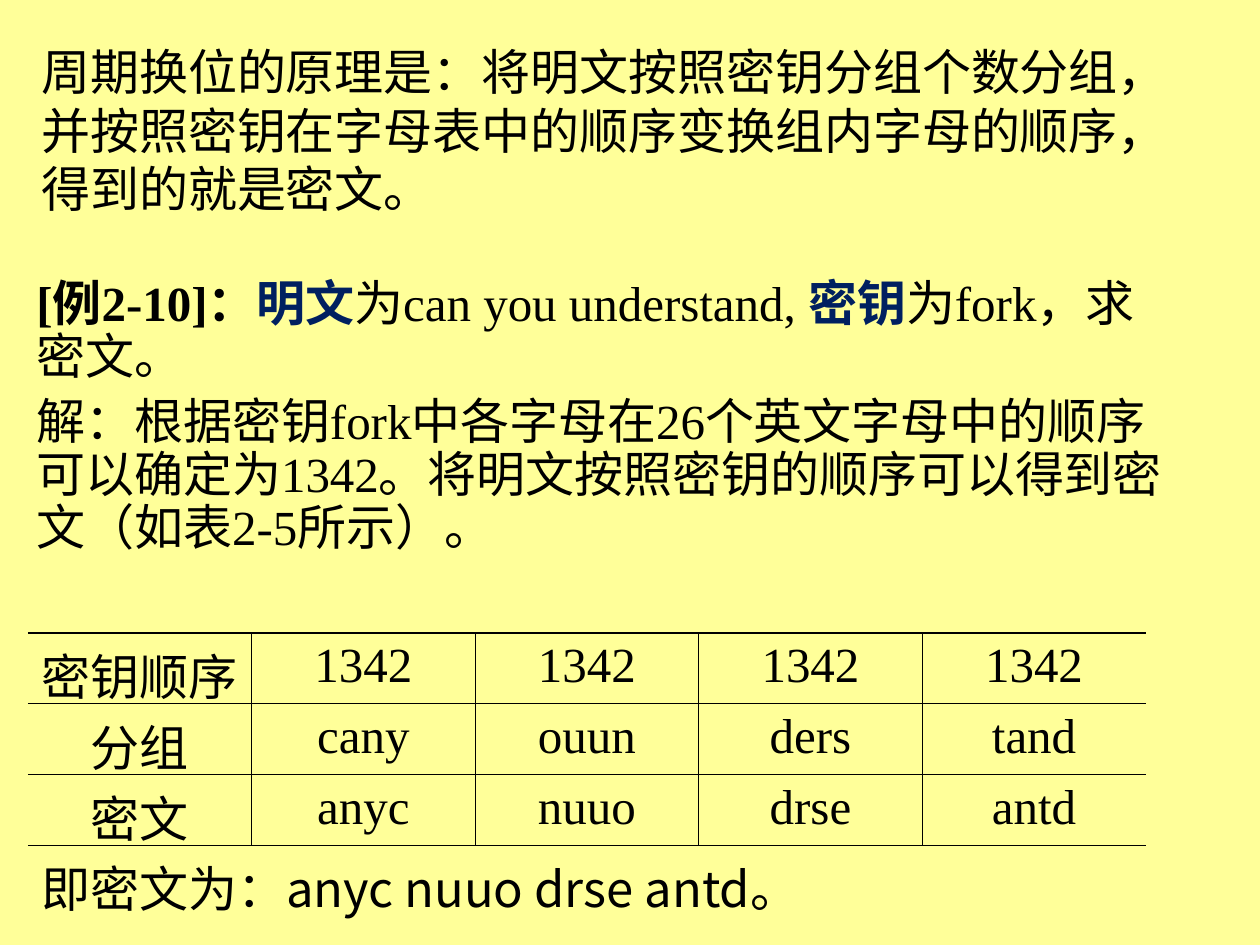
from lxml.etree import SubElement
from pptx import Presentation
from pptx.dml.color import RGBColor
from pptx.enum.text import PP_ALIGN
from pptx.oxml.ns import qn
from pptx.util import Emu, Pt

BLACK = "000000"
NAVY = "002060"
SERIF = "Times New Roman"
SANS = "Noto Sans CJK SC"

INTRODUCTION = ("周期换位的原理是：将明文按照密钥分组个数分组，"
                "并按照密钥在字母表中的顺序变换组内字母的顺序，得到的就是密文。")
EXAMPLE = [
    [("[例2-10]：", BLACK, True), ("明文", NAVY, True),
     ("为can you understand, ", BLACK, False), ("密钥", NAVY, True),
     ("为fork，求密文。", BLACK, False)],
    [("解：根据密钥fork中各字母在26个英文字母中的顺序可以确定为1342。"
      "将明文按照密钥的顺序可以得到密文（如表2-5所示）。", BLACK, False)],
]
CIPHER_ROWS = [
    ["密钥顺序", "1342", "1342", "1342", "1342"],
    ["分组", "cany", "ouun", "ders", "tand"],
    ["密文", "anyc", "nuuo", "drse", "antd"],
]
CONCLUSION = "即密文为：anyc nuuo drse antd。"


def px(length):
    return Emu(round(length * 914400 / 126))


def color(value):
    return RGBColor.from_string(value)


def format_run(run, font_name, value=BLACK, bold=False):
    font = run.font
    font.size = Pt(28)
    font.name = font_name
    font.bold = bold
    font.color.rgb = color(value)
    east_asian = SubElement(run._r.get_or_add_rPr(), qn("a:ea"))
    east_asian.set("typeface", SANS)


def add_text(slide, box, paragraphs, font_name, line_spacing=None, gap=0):
    """Place paragraphs, each a list of (text, color, bold) pieces."""
    text_frame = slide.shapes.add_textbox(*map(px, box)).text_frame
    text_frame.word_wrap = True
    for index, pieces in enumerate(paragraphs):
        paragraph = text_frame.add_paragraph() if index else text_frame.paragraphs[0]
        paragraph.line_spacing = line_spacing
        if index and gap:
            paragraph.space_before = Pt(gap)
        for text, value, bold in pieces:
            run = paragraph.add_run()
            run.text = text
            format_run(run, font_name, value, bold)


def set_borders(cell, widths):
    """Draw left, right, top and bottom borders; a width of 0 hides one."""
    properties = cell._tc.get_or_add_tcPr()
    for index, (side, width) in enumerate(zip("LRTB", widths)):
        line = properties.makeelement(qn(f"a:ln{side}"), {"w": str(Pt(width))})
        properties.insert(index, line)
        if width:
            fill = SubElement(line, qn("a:solidFill"))
            SubElement(fill, qn("a:srgbClr")).set("val", BLACK)
        else:
            SubElement(line, qn("a:noFill"))


def add_cipher_table(slide, box, rows):
    row_count, column_count = len(rows), len(rows[0])
    table = slide.shapes.add_table(row_count, column_count, *map(px, box)).table
    table.first_row = table.horz_banding = False
    for row_index, row in enumerate(rows):
        for column_index, text in enumerate(row):
            cell = table.cell(row_index, column_index)
            cell.fill.background()
            cell.margin_left = cell.margin_right = px(10)
            cell.margin_top = cell.margin_bottom = px(6)
            cell.text_frame.text = text
            paragraph = cell.text_frame.paragraphs[0]
            paragraph.alignment = PP_ALIGN.CENTER
            format_run(paragraph.runs[0], SERIF)
            set_borders(cell, [
                0.45 if column_index else 0,
                0.45 if column_index < column_count - 1 else 0,
                0.45 if row_index else 0.75,
                0.45 if row_index < row_count - 1 else 0.75,
            ])


def build_slide(presentation):
    slide = presentation.slides.add_slide(presentation.slide_layouts[6])
    background = slide.background.fill
    background.solid()
    background.fore_color.rgb = color("FFFF99")
    add_text(slide, (24, 273, 1166, 318), EXAMPLE, SERIF, line_spacing=0.9, gap=7)
    add_cipher_table(slide, (28, 633, 1118, 177), CIPHER_ROWS)
    add_text(slide, (29, 852, 1160, 72), [[(CONCLUSION, BLACK, False)]], SANS)
    add_text(slide, (29, 35, 1148, 189), [[(INTRODUCTION, BLACK, False)]], SANS)


def main():
    presentation = Presentation()
    presentation.slide_width = px(1260)
    presentation.slide_height = px(945)
    build_slide(presentation)
    presentation.save("out.pptx")


if __name__ == "__main__":
    main()
